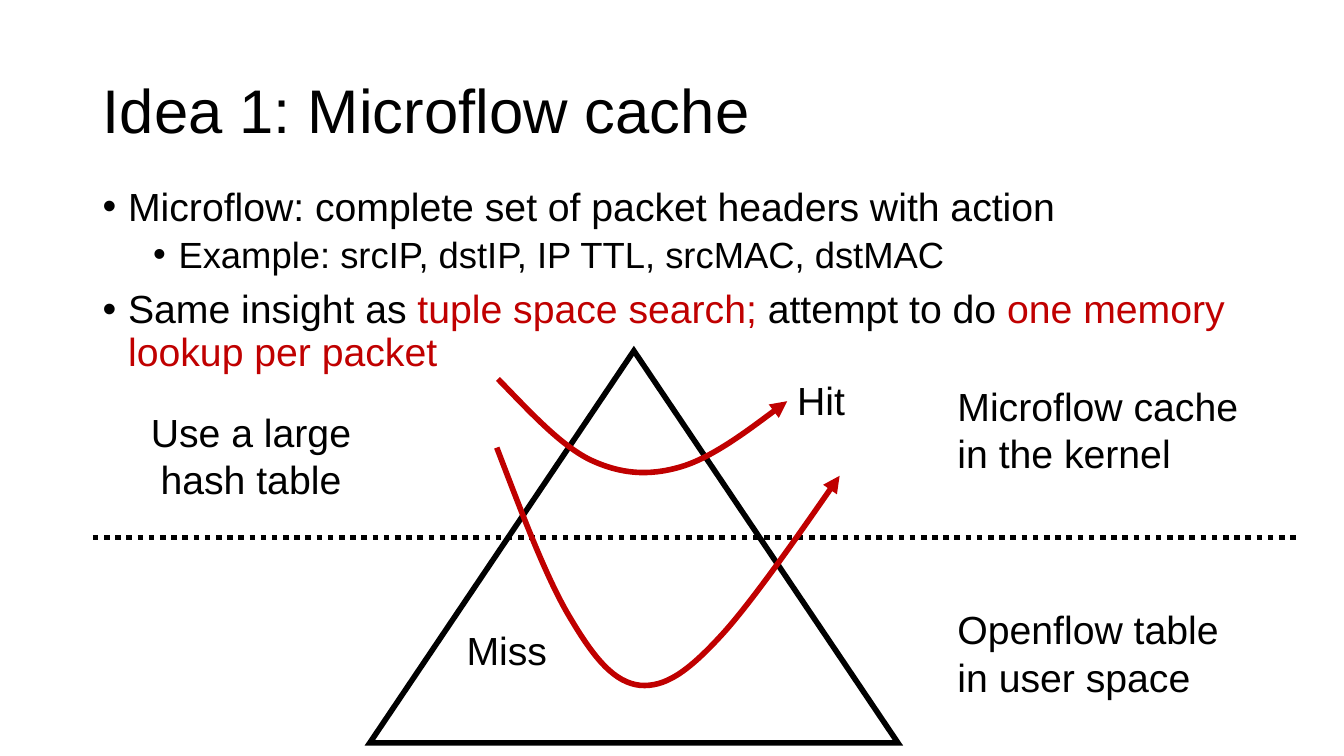
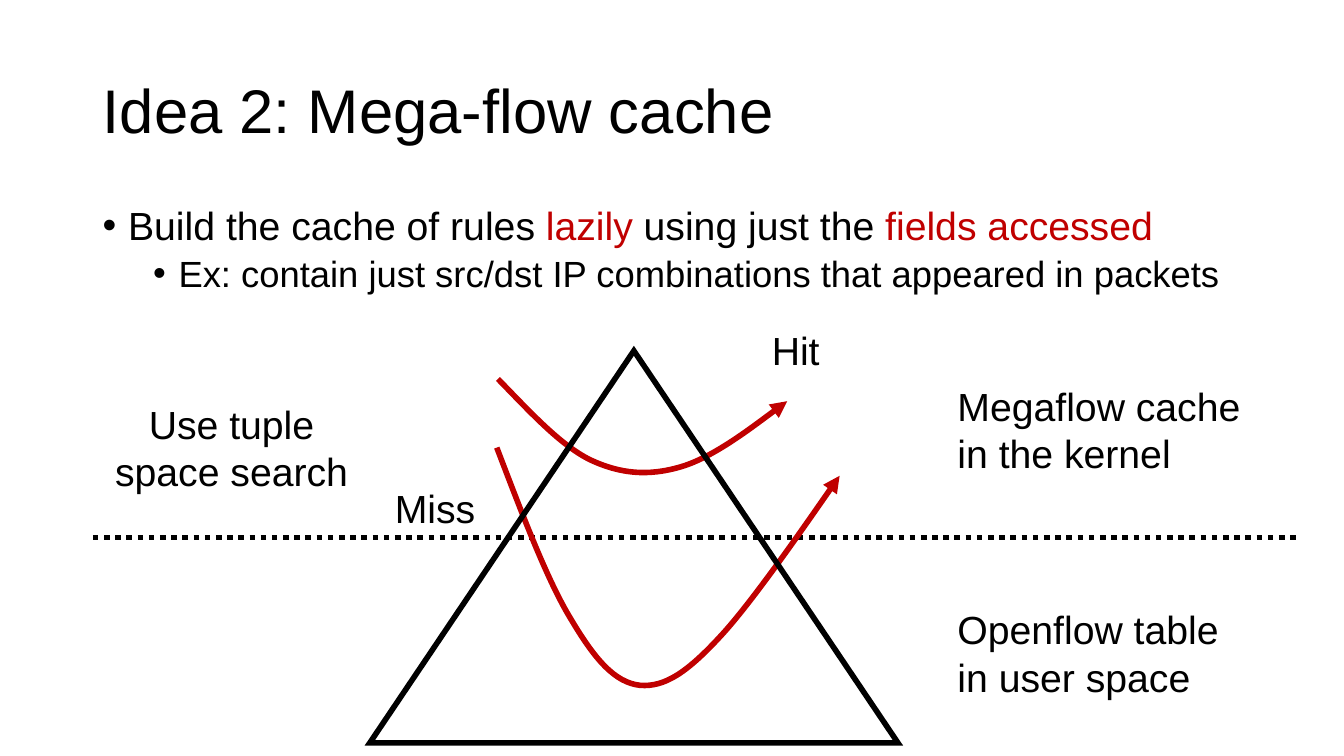
"""Build two slides comparing the microflow and megaflow cache designs."""
from dataclasses import dataclass

from lxml import etree
from pptx import Presentation
from pptx import util as u
from pptx.dml.color import RGBColor
from pptx.enum import dml, shapes, text
from pptx.oxml import ns

COLOURS = {"ink": "000000", "accent": "C00000", "paper": "FFFFFF"}
FONT = "Arial"
LABEL_SIZE = 28
LEVEL_SIZES = (28, 26)
LEVEL_INDENTS = (0.64, 1.91)
LEVEL_SPACES = (10, 5)
HANGING = 0.64
STROKE = 4

HIT_PATH = (
    (12.55, 9.55),
    (13.34, 10.36), (14.1, 11.2), (14.86, 11.58),
    (15.62, 11.94), (16.33, 12.01), (17.17, 11.76),
    (18.01, 11.51), (19.84, 10.11), (19.84, 10.11),
)
MISS_PATH = (
    (12.52, 11.28),
    (13.16, 12.95), (13.79, 14.63), (14.4, 15.62),
    (14.99, 16.61), (15.49, 17.2), (16.13, 17.27),
    (16.76, 17.32), (17.32, 16.94), (18.16, 16.03),
    (18.97, 15.16), (21.16, 11.99), (21.16, 11.99),
)


@dataclass(frozen=True)
class Box:
    """A rectangle in centimetres."""
    left: float
    top: float
    width: float
    height: float

    def emu(self) -> tuple:
        """Return the four lengths for python-pptx."""
        return tuple(u.Cm(v) for v in (self.left, self.top, self.width, self.height))


@dataclass(frozen=True)
class Bullet:
    """A bullet whose text between asterisks is emphasised."""
    wording: str
    level: int = 0


@dataclass(frozen=True)
class Label:
    """A caption beside the cache pyramid."""
    wording: str
    box: Box
    centred: bool = False


@dataclass(frozen=True)
class CacheIdea:
    """The content of one slide."""
    title: str
    bullets: tuple
    bullets_box: Box
    labels: tuple
    pyramid_in_front: bool


TITLE_BOX = Box(2.34, 1.02, 29.21, 3.68)
PYRAMID_BOX = Box(9.32, 8.84, 13.31, 9.88)
KERNEL_BOX = Box(23.88, 9.5, 7.67, 2.64)
USER_SPACE = Label("Openflow table in user space", Box(23.88, 15.14, 7.67, 2.64))

IDEAS = (
    CacheIdea(
        "Idea 1: Microflow cache",
        (
            Bullet("Microflow: complete set of packet headers with action"),
            Bullet("Example: srcIP, dstIP, IP TTL, srcMAC, dstMAC", 1),
            Bullet("Same insight as *tuple space search; *attempt to do "
                   "*one memory lookup per packet*"),
        ),
        Box(2.34, 4.6, 29.21, 12.09),
        (
            Label("Microflow cache in the kernel", KERNEL_BOX),
            USER_SPACE,
            Label("Hit", Box(19.84, 9.37, 1.96, 1.45)),
            Label("Miss", Box(11.51, 15.67, 3.12, 1.45)),
            Label("Use a large hash table", Box(3.33, 10.16, 5.99, 2.64), centred=True),
        ),
        pyramid_in_front=False,
    ),
    CacheIdea(
        "Idea 2: Mega-flow cache",
        (
            Bullet("Build the cache of rules *lazily* using just the *fields accessed*"),
            Bullet("Ex: contain just src/dst IP combinations that appeared in packets", 1),
        ),
        Box(2.34, 5.08, 31.01, 12.09),
        (
            Label("Megaflow cache in the kernel", KERNEL_BOX),
            USER_SPACE,
            Label("Hit", Box(19.2, 8.1, 1.96, 1.45)),
            Label("Miss", Box(9.7, 12.09, 3.12, 1.45)),
            Label("Use tuple space search", Box(2.34, 9.96, 6.99, 2.64), centred=True),
        ),
        pyramid_in_front=True,
    ),
)


def colour(name: str) -> RGBColor:
    """Look up a palette colour."""
    return RGBColor.from_string(COLOURS[name])


def add_frame(slide, box: Box, *, anchor=text.MSO_ANCHOR.TOP, grow: bool = False):
    """Add an empty wrapping text box and return its text frame."""
    frame = slide.shapes.add_textbox(*box.emu()).text_frame
    frame.word_wrap = True
    frame.vertical_anchor = anchor
    frame.auto_size = (text.MSO_AUTO_SIZE.SHAPE_TO_FIT_TEXT if grow
                       else text.MSO_AUTO_SIZE.NONE)
    return frame


def write(paragraph, wording: str, *, size: float = LABEL_SIZE,
          align=text.PP_ALIGN.LEFT, spacing: float = 1.0) -> None:
    """Write text into a paragraph, colouring the parts between asterisks."""
    paragraph.alignment = align
    paragraph.line_spacing = spacing
    for position, part in enumerate(wording.split("*")):
        if part:
            run = paragraph.add_run()
            run.text = part
            run.font.name = FONT
            run.font.size = u.Pt(size)
            run.font.color.rgb = colour("accent" if position % 2 else "ink")


def add_bullets(slide, bullets: tuple, box: Box) -> None:
    """Add the two-level bullet list."""
    frame = add_frame(slide, box)
    for position, bullet in enumerate(bullets):
        paragraph = frame.add_paragraph() if position else frame.paragraphs[0]
        paragraph.level = bullet.level
        properties = paragraph._p.get_or_add_pPr()
        properties.set("marL", str(u.Cm(LEVEL_INDENTS[bullet.level])))
        properties.set("indent", str(-u.Cm(HANGING)))
        etree.SubElement(properties, ns.qn("a:buFont"), typeface=FONT)
        etree.SubElement(properties, ns.qn("a:buChar"), char="•")
        paragraph.space_before = u.Pt(LEVEL_SPACES[bullet.level] if position else 0)
        write(paragraph, bullet.wording, size=LEVEL_SIZES[bullet.level], spacing=0.9)


def stroke(outlined, name: str):
    """Style an outline and return its XML element."""
    outlined.line.color.rgb = colour(name)
    outlined.line.width = u.Pt(STROKE)
    return outlined.line._get_or_add_ln()


def add_pyramid(parent) -> None:
    """Add the unfilled triangle."""
    pyramid = parent.add_shape(shapes.MSO_SHAPE.ISOSCELES_TRIANGLE, *PYRAMID_BOX.emu())
    pyramid.shadow.inherit = False
    pyramid.fill.background()
    etree.SubElement(stroke(pyramid, "ink"), ns.qn("a:miter"), lim="800000")


def add_lookup(parent, points: tuple) -> None:
    """Add a curved arrow through cubic control points."""
    start, *rest = [(u.Cm(x), u.Cm(y)) for x, y in points]
    builder = parent.build_freeform(*start)
    builder.add_line_segments(rest, close=False)
    lookup = builder.convert_to_shape()
    lookup.shadow.inherit = False
    lookup.fill.background()
    segments = list(lookup._element.iter(ns.qn("a:lnTo")))
    for first in range(0, len(segments), 3):
        curve = etree.Element(ns.qn("a:cubicBezTo"))
        segments[first].addprevious(curve)
        for segment in segments[first:first + 3]:
            curve.append(segment[0])
            segment.getparent().remove(segment)
    etree.SubElement(stroke(lookup, "accent"), ns.qn("a:tailEnd"), type="triangle")


def add_boundary(slide) -> None:
    """Add the dotted line between kernel and user space."""
    boundary = slide.shapes.add_connector(
        shapes.MSO_CONNECTOR.STRAIGHT,
        u.Cm(2.34), u.Cm(13.54), u.Cm(32.79), u.Cm(13.54))
    stroke(boundary, "ink")
    boundary.line.dash_style = dml.MSO_LINE.ROUND_DOT
    etree.SubElement(boundary._element.spPr, ns.qn("a:effectLst"))


def add_diagram(slide, pyramid_in_front: bool) -> None:
    """Add the pyramid and both lookups as one group."""
    diagram = slide.shapes.add_group_shape().shapes
    if not pyramid_in_front:
        add_pyramid(diagram)
    for points in (HIT_PATH, MISS_PATH):
        add_lookup(diagram, points)
    if pyramid_in_front:
        add_pyramid(diagram)


def add_idea(deck, idea: CacheIdea) -> None:
    """Add one complete slide."""
    slide = deck.slides.add_slide(deck.slide_layouts[6])
    slide.background.fill.solid()
    slide.background.fill.fore_color.rgb = colour("paper")
    title = add_frame(slide, TITLE_BOX, anchor=text.MSO_ANCHOR.MIDDLE)
    write(title.paragraphs[0], idea.title, size=44, spacing=0.9)
    add_bullets(slide, idea.bullets, idea.bullets_box)
    add_boundary(slide)
    add_diagram(slide, idea.pyramid_in_front)
    for label in idea.labels:
        frame = add_frame(slide, label.box, grow=True)
        align = text.PP_ALIGN.CENTER if label.centred else text.PP_ALIGN.LEFT
        write(frame.paragraphs[0], label.wording, align=align)


def main() -> None:
    """Build and save the deck."""
    deck = Presentation()
    deck.slide_width, deck.slide_height = u.Cm(33.87), u.Cm(19.05)
    for idea in IDEAS:
        add_idea(deck, idea)
    deck.save("out.pptx")


if __name__ == "__main__":
    main()
